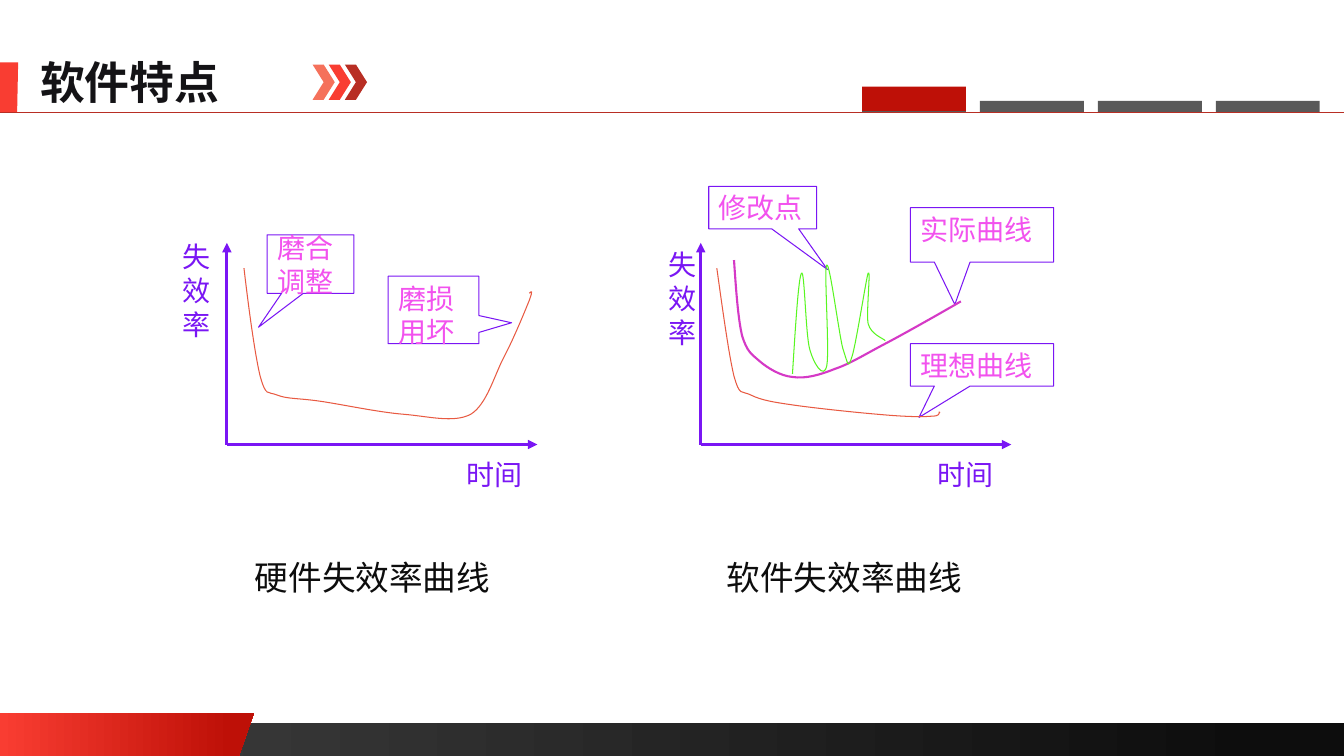
from dataclasses import dataclass

from lxml import etree
from pptx import Presentation
from pptx.dml.color import RGBColor
from pptx.enum.shapes import MSO_CONNECTOR, MSO_SHAPE
from pptx.enum.text import MSO_ANCHOR, MSO_AUTO_SIZE, PP_ALIGN
from pptx.oxml.ns import qn
from pptx.util import Inches, Pt

RECT = MSO_SHAPE.RECTANGLE
CHEVRON = MSO_SHAPE.CHEVRON
CALLOUT = MSO_SHAPE.RECTANGULAR_CALLOUT
STRAIGHT = MSO_CONNECTOR.STRAIGHT
TOP, MIDDLE = MSO_ANCHOR.TOP, MSO_ANCHOR.MIDDLE


@dataclass(frozen=True)
class Theme:
    ink: RGBColor = RGBColor.from_string("141316")
    black: RGBColor = RGBColor.from_string("0D0D0D")
    dark: RGBColor = RGBColor.from_string("404040")
    gray: RGBColor = RGBColor.from_string("595959")
    coral: RGBColor = RGBColor.from_string("F5715B")
    red: RGBColor = RGBColor.from_string("F93D32")
    brick: RGBColor = RGBColor.from_string("B82E24")
    deep: RGBColor = RGBColor.from_string("BE1007")
    violet: RGBColor = RGBColor.from_string("7A16F4")
    pink: RGBColor = RGBColor.from_string("F252EE")
    orange: RGBColor = RGBColor.from_string("E85A42")
    purple: RGBColor = RGBColor.from_string("D539C6")
    green: RGBColor = RGBColor.from_string("58F620")
    title: int = 32
    caption: int = 24
    label: int = 20
    latin: str = "Calibri"
    han: str = "Noto Sans CJK SC"


theme = Theme()
prs = Presentation()
prs.slide_width, prs.slide_height = Inches(13.33), Inches(7.5)
slide = prs.slides.add_slide(prs.slide_layouts[6])
shapes = slide.shapes


def write(shape, text, size=theme.label, color=theme.pink, font=theme.latin,
          bold=False, anchor=TOP, wrap=True):
    frame = shape.text_frame
    frame.word_wrap = wrap
    frame.vertical_anchor = anchor
    para = frame.paragraphs[0]
    para.alignment = PP_ALIGN.LEFT
    run = para.add_run()
    run.text = text
    run.font.size, run.font.bold, run.font.name = Pt(size), bold, font
    run.font.color.rgb = color
    etree.SubElement(run.font._element, qn("a:ea"), typeface=font)


def trace(points, curved=False):
    """Draw an outline; if curved, each three points after the first form a Bezier."""
    dots = [(Inches(x), Inches(y)) for x, y in points]
    pen = shapes.build_freeform(*dots[0], scale=1.0)
    pen.add_line_segments(dots[1:], close=not curved)
    shape = pen.convert_to_shape()
    shape.shadow.inherit = False
    if curved:
        shape.fill.background()
        route = next(shape._element.iter(qn("a:path")))
        steps = route.findall(qn("a:lnTo"))
        for i in range(0, len(steps), 3):
            bend = etree.SubElement(route, qn("a:cubicBezTo"))
            for step in steps[i:i + 3]:
                bend.append(step[0])
                route.remove(step)
    else:
        shape.line.fill.background()
    return shape


# Footer and title marker
bar = shapes.add_shape(RECT, 0, Inches(7.17), prs.slide_width, Inches(0.33))
bar.shadow.inherit = False
bar.line.fill.background()
flag = trace([(0, 7.07), (2.52, 7.07), (2.37, 7.5), (0, 7.5)])
for shape, first, last, end in ((bar, theme.dark, theme.black, 0.94),
                                (flag, theme.red, theme.deep, 0.91)):
    shape.fill.gradient()
    shape.fill.gradient_angle = 0
    stops = shape.fill.gradient_stops
    stops[0].color.rgb, stops[0].position = first, 0
    stops[1].color.rgb, stops[1].position = last, end
mark = trace([(0, 0.62), (0.18, 0.62), (0.17, 1.12), (0, 1.12)])
mark.fill.solid()
mark.fill.fore_color.rgb = theme.red

title = shapes.add_textbox(Inches(0.3), Inches(0.49), Inches(2.13), Inches(0.64))
write(title, "软件特点", size=theme.title, color=theme.ink, font=theme.han,
      bold=True, wrap=False)
title.text_frame.auto_size = MSO_AUTO_SIZE.SHAPE_TO_FIT_TEXT

# Chevrons and tabs of the header
blocks = [(CHEVRON, 3.1 + 0.16 * i, 0.64, 0.22, 0.35, color)
          for i, color in enumerate((theme.coral, theme.red, theme.brick))]
blocks += [(RECT, 8.55 + 1.17 * i, 1, 1.03, 0.11, theme.gray) for i in range(4)]
blocks.append((RECT, 8.55, 0.86, 1.03, 0.24, theme.deep))
for kind, x, y, w, h, color in blocks:
    shape = shapes.add_shape(kind, Inches(x), Inches(y), Inches(w), Inches(h))
    shape.shadow.inherit = False
    shape.fill.solid()
    shape.fill.fore_color.rgb = color
    shape.line.fill.background()

# Header rule, then the two axes of each chart
lines = [(0, 1.11, 13.33, 1.11, theme.brick, 0.5, False)]
for x in (2.25, 6.95):
    lines += [(x, 2.41, x, 4.41, theme.violet, 2.25, True),
              (x + 3.08, 4.41, x, 4.41, theme.violet, 2.25, True)]
for x1, y1, x2, y2, color, width, arrow in lines:
    line = shapes.add_connector(STRAIGHT, Inches(x1), Inches(y1), Inches(x2), Inches(y2))
    line.line.color.rgb, line.line.width = color, Pt(width)
    if arrow:
        etree.SubElement(line.line._get_or_add_ln(), qn("a:headEnd"), type="triangle")
    etree.SubElement(line._element.spPr, qn("a:effectLst"))

# Callouts
for text, x, y, w, h, tip, anchor in (
        ("磨合调整", 2.65, 2.33, 0.86, 0.58, (-0.6, 1.08), MIDDLE),
        ("磨损用坏", 3.85, 2.74, 0.9, 0.67, (0.86, 0.19), TOP),
        ("修改点", 7.03, 1.85, 1.07, 0.42, (0.6, 1.46), MIDDLE),
        ("实际曲线", 9.03, 2.06, 1.42, 0.54, (-0.19, 1.28), TOP),
        ("理想曲线", 9.03, 3.41, 1.42, 0.42, (-0.44, 1.24), TOP)):
    note = shapes.add_shape(CALLOUT, Inches(x), Inches(y), Inches(w), Inches(h))
    note.shadow.inherit = False
    note.adjustments[0], note.adjustments[1] = tip
    note.fill.background()
    note.line.color.rgb, note.line.width = theme.violet, Pt(0.75)
    write(note, text, anchor=anchor)

# Failure curves
actual = [(7.28, 2.58), (7.3, 2.87), (7.32, 3.16), (7.36, 3.33),
          (7.41, 3.49), (7.45, 3.51), (7.53, 3.58), (7.61, 3.65), (7.74, 3.73), (7.86, 3.74),
          (7.99, 3.76), (8.13, 3.72), (8.28, 3.66), (8.43, 3.61), (8.57, 3.52), (8.78, 3.41),
          (8.99, 3.3), (9.41, 3.06), (9.53, 2.99)]
peaks = [(7.86, 3.71), (7.89, 3.23), (7.92, 2.75), (7.95, 2.71),
         (7.98, 2.67), (7.99, 3.31), (8.03, 3.46), (8.07, 3.61), (8.17, 3.77), (8.2, 3.63),
         (8.23, 3.49), (8.17, 2.65), (8.2, 2.63), (8.23, 2.6), (8.32, 3.31), (8.36, 3.46),
         (8.41, 3.61), (8.41, 3.67), (8.45, 3.54), (8.49, 3.42), (8.59, 2.77), (8.61, 2.71),
         (8.64, 2.65), (8.59, 3.1), (8.61, 3.21), (8.64, 3.32), (8.75, 3.35), (8.78, 3.38)]
worn = [(2.42, 2.66), (2.47, 3.09), (2.53, 3.52), (2.58, 3.73),
        (2.64, 3.94), (2.65, 3.88), (2.75, 3.92), (2.85, 3.96), (2.96, 3.95), (3.17, 3.98),
        (3.38, 4.01), (3.75, 4.09), (4, 4.11), (4.25, 4.13), (4.5, 4.2), (4.67, 4.11),
        (4.83, 4.01), (4.9, 3.73), (5, 3.54), (5.1, 3.35), (5.21, 3.08), (5.25, 2.98),
        (5.29, 2.87), (5.27, 2.89), (5.25, 2.91)]
ideal = [(7.11, 2.66), (7.17, 3.09), (7.23, 3.52), (7.28, 3.73),
         (7.34, 3.94), (7.35, 3.87), (7.45, 3.92), (7.55, 3.97), (7.67, 3.99), (7.88, 4.02),
         (8.09, 4.05), (8.47, 4.09), (8.7, 4.11), (8.92, 4.13), (9.12, 4.14), (9.23, 4.13),
         (9.33, 4.13), (9.31, 4.1), (9.32, 4.09), (9.34, 4.09), (9.31, 4.09), (9.31, 4.09)]
for points, color, width in ((actual, theme.purple, 1.5), (peaks, theme.green, 0.75),
                             (worn, theme.orange, 0.75), (ideal, theme.orange, 0.75)):
    curve = trace(points, curved=True)
    curve.line.color.rgb, curve.line.width = color, Pt(width)

# Axis names and captions
axis = dict(color=theme.violet)
caption = dict(size=theme.caption, color=theme.black, font=theme.han)
for text, x, y, w, h, style in (
        ("失效率", 1.71, 2.33, 0.42, 1, axis),
        ("时间", 4.53, 4.49, 0.89, 0.38, axis),
        ("硬件失效率曲线", 2.43, 5.48, 2.54, 0.42, caption),
        ("失效率", 6.53, 2.41, 0.42, 1, axis),
        ("时间", 9.2, 4.49, 0.92, 0.33, axis),
        ("软件失效率曲线", 7.11, 5.48, 2.62, 0.42, caption)):
    label = shapes.add_textbox(Inches(x), Inches(y), Inches(w), Inches(h))
    write(label, text, **style)

prs.save("out.pptx")
